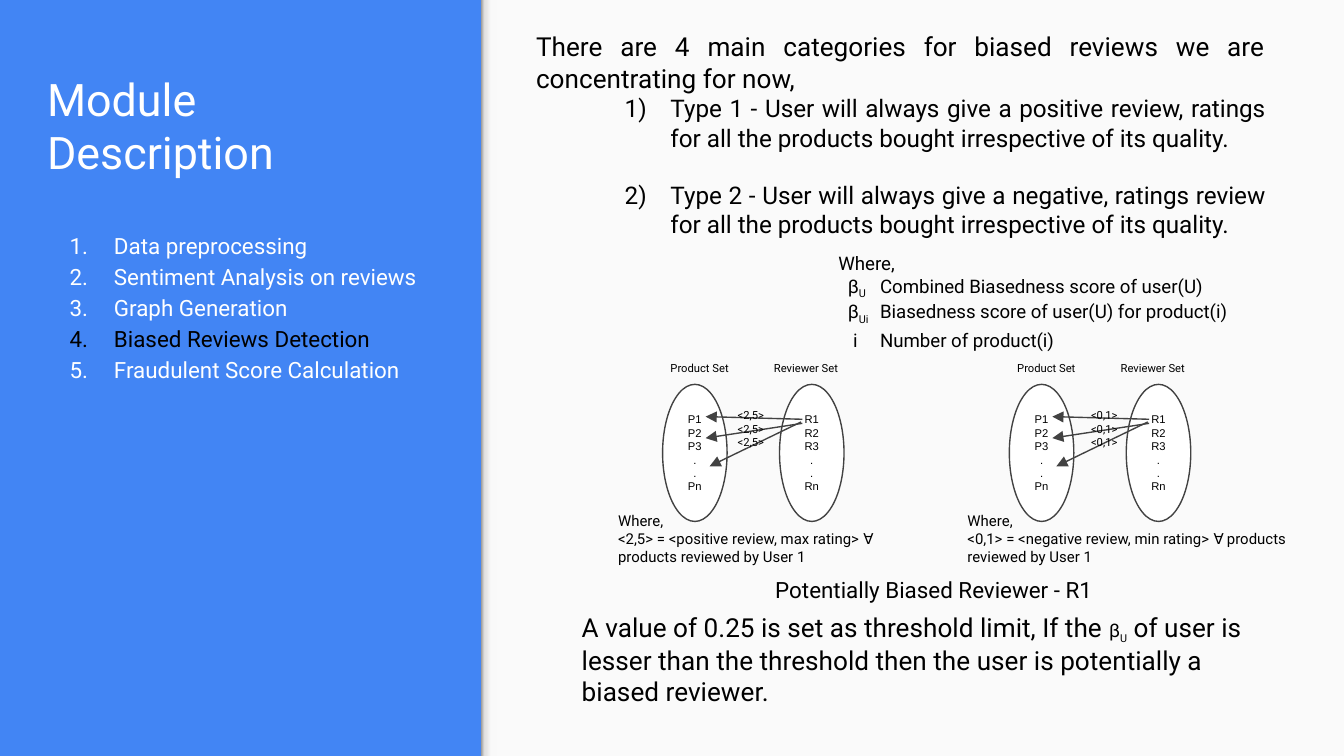
from lxml import etree
from pptx import Presentation
from pptx.dml.color import RGBColor
from pptx.enum.shapes import MSO_CONNECTOR, MSO_SHAPE
from pptx.enum.text import MSO_ANCHOR, MSO_AUTO_SIZE, PP_ALIGN
from pptx.oxml.ns import qn
from pptx.util import Inches, Pt

LEFT, CENTER, JUSTIFY = PP_ALIGN.LEFT, PP_ALIGN.CENTER, PP_ALIGN.JUSTIFY
TOP, MIDDLE, BOTTOM = MSO_ANCHOR.TOP, MSO_ANCHOR.MIDDLE, MSO_ANCHOR.BOTTOM
WIDTH = 10
HEIGHT = WIDTH * 9 / 16
COLORS = {"blue": "4285F4", "panel": "FAFAFA", "white": "FFFFFF",
          "black": "000000", "line": "424242"}
SHADOW_STOPS = [(0, "999999"), (20, "DEDEDE"), (64, "F9F9F9"), (100, "F9F9F9")]

# Content
TITLE = "Module Description"
MODULES = ["Data preprocessing", "Sentiment Analysis on reviews", "Graph Generation",
           "Biased Reviews Detection", "Fraudulent Score Calculation"]
CURRENT_MODULE = "Biased Reviews Detection"
INTRO = "There are 4 main categories for biased reviews we are concentrating for now,"
TYPES = [
    "Type 1 - User will always give a positive review, ratings for all the products "
    "bought irrespective of its quality.",
    "Type 2 - User will always give a negative, ratings review for all the products "
    "bought irrespective of its quality."]
SYMBOLS = [  # symbol, subscript, meaning, hanging indent, line spacing
    ("β", "U", "Combined Biasedness score of user(U)", 0.24, None),
    ("β", "Ui", "Biasedness score of user(U) for product(i)", 0.24, None),
    ("i", "", "Number of product(i)", 0.2, 1.15)]
SETS = [  # caption, letter, ellipse left, caption left
    ("Product Set", "P", 4.93, 4.89),
    ("Reviewer Set", "R", 5.8, 5.66)]
MEMBERS = ["{}1", "{}2", "{}3", ".", ".", "{}n"]
EDGES = [((5.97, 3.12), (5.25, 3.1)),
         ((5.97, 3.15), (5.25, 3.26)),
         ((5.96, 3.14), (5.28, 3.47))]
DIAGRAMS = [  # x offset, edge label, edge label left, note left, note width, note
    (0, "<2,5>", 5.33, 4.5, 2.48,
     "<2,5> = <positive review, max rating> ∀ products reviewed by User 1"),
    (2.58, "<0,1>", 7.96, 7.1, 2.7,
     "<0,1> = <negative review, min rating> ∀ products reviewed by User 1")]
REVIEWER = "Potentially Biased Reviewer - R1"
THRESHOLD = [("A value of 0.25 is set as threshold limit, If the ", 14, False),
             ("β", 10, False), ("U", 10, True),
             (" of user is lesser than the threshold then the user is potentially "
              "a biased reviewer.", 14, False)]


def rgb(name):
    return RGBColor.from_string(COLORS[name])


def line(runs, size=None, color="black", **layout):
    """Describe one paragraph; runs is a string or (text, size, subscript) tuples."""
    if isinstance(runs, str):
        runs = [(runs, size, False)]
    return {"runs": runs, "color": color, **layout}


def fill_text(shape, lines, font="Roboto", anchor=TOP, margin=0.1):
    frame = shape.text_frame
    frame.word_wrap = True
    frame.auto_size = MSO_AUTO_SIZE.NONE
    frame.vertical_anchor = anchor
    frame.margin_left = frame.margin_right = Inches(margin)
    frame.margin_top = frame.margin_bottom = Inches(0.1)
    for index, item in enumerate(lines):
        paragraph = frame.paragraphs[0] if index == 0 else frame.add_paragraph()
        paragraph.alignment = item.get("align", LEFT)
        paragraph.line_spacing = item.get("spacing")
        if "before" in item:
            paragraph.space_before = Pt(item["before"])
        properties = paragraph._p.get_or_add_pPr()
        properties.set("marL", str(Inches(item.get("margin", 0))))
        properties.set("indent", str(-Inches(item.get("hanging", 0))))
        if "number" in item:
            bullet_color = etree.SubElement(properties, qn("a:buClr"))
            etree.SubElement(bullet_color, qn("a:srgbClr"), val=COLORS[item["color"]])
            etree.SubElement(properties, qn("a:buFont"), typeface=font)
            etree.SubElement(properties, qn("a:buAutoNum"), type=item["number"])
        for text, size, subscript in item["runs"]:
            run = paragraph.add_run()
            run.text = text
            run.font.name = font
            run.font.size = Pt(size)
            run.font.color.rgb = rgb(item["color"])
            if subscript:
                run.font._element.set("baseline", "-25000")


def add_text(slide, box, lines):
    fill_text(slide.shapes.add_textbox(*map(Inches, box)), lines)


def add_shape(slide, kind, box, color):
    shape = slide.shapes.add_shape(kind, *map(Inches, box))
    shape.shadow.inherit = False
    shape.fill.solid()
    shape.fill.fore_color.rgb = rgb(color)
    shape.line.fill.background()
    return shape


def add_panel(slide):
    add_shape(slide, MSO_SHAPE.RECTANGLE, (3.58, 0, 6.42, HEIGHT), "panel")
    shadow = add_shape(slide, MSO_SHAPE.RECTANGLE, (3.58, 0, 0.12, HEIGHT), "panel")
    shadow.fill.gradient()
    shadow.fill.gradient_angle = 0
    stops = shadow._element.spPr.find(qn("a:gradFill")).find(qn("a:gsLst"))
    for stop in list(stops):
        stops.remove(stop)
    for position, color in SHADOW_STOPS:
        stop = etree.SubElement(stops, qn("a:gs"), pos=str(position * 1000))
        etree.SubElement(stop, qn("a:srgbClr"), val=color)


def add_arrow(slide, start, end):
    arrow = slide.shapes.add_connector(MSO_CONNECTOR.STRAIGHT, *map(Inches, start + end))
    arrow.line.color.rgb = rgb("line")
    arrow.line.width = Pt(0.75)
    etree.SubElement(arrow.line._get_or_add_ln(), qn("a:tailEnd"), type="triangle")
    etree.SubElement(arrow._element.spPr, qn("a:effectLst"))


def add_diagram(slide, offset, label, label_left, note_left, note_width, note):
    for caption, letter, left, caption_left in SETS:
        ellipse = add_shape(slide, MSO_SHAPE.OVAL, (left + offset, 2.86, 0.48, 1.02), "white")
        ellipse.line.color.rgb = rgb("line")
        ellipse.line.width = Pt(0.75)
        members = [line(member.format(letter), 6, align=CENTER) for member in MEMBERS]
        fill_text(ellipse, members, "Arial", MIDDLE, margin=0.05)
        add_text(slide, (caption_left + offset, 2.59, 0.71, 0.3), [line(caption, 6)])
    for (start_x, start_y), (end_x, end_y) in EDGES:
        add_arrow(slide, (start_x + offset, start_y), (end_x + offset, end_y))
    add_text(slide, (label_left, 2.94, 0.68, 0.5),
             [line(label, 6, margin=0.06) for _ in EDGES])
    add_text(slide, (note_left, 3.71, note_width, 0.74), [line("Where,", 8), line(note, 8)])


presentation = Presentation()
presentation.slide_width, presentation.slide_height = Inches(WIDTH), Inches(HEIGHT)
slide = presentation.slides.add_slide(presentation.slide_layouts[5])
slide.background.fill.solid()
slide.background.fill.fore_color.rgb = rgb("blue")
add_panel(slide)

# Sidebar: title and module list
title = slide.shapes.title
title.left, title.top, title.width, title.height = map(Inches, (0.25, 0.39, 3.07, 1.04))
fill_text(title, [line(TITLE, 24, "white")], anchor=BOTTOM)
title.text_frame.margin_right = Inches(0.2)
add_text(slide, (0.25, 1.6, 3.07, 3.46),
         [line(module, 12, "black" if module == CURRENT_MODULE else "white", margin=0.5,
               hanging=0.33, spacing=1.15, number="arabicPeriod") for module in MODULES])

# Review types
add_text(slide, (3.89, 0.13, 5.62, 1.77),
         [line(INTRO, 14, align=JUSTIFY)]
         + [line(text, 13, align=JUSTIFY, margin=1, hanging=0.34, number="arabicParenR",
                 before=15.25 * index) for index, text in enumerate(TYPES)])

# Symbol legend
legend = [line("Where,", 10, spacing=1.15)]
for symbol, subscript, meaning, hanging, spacing in SYMBOLS:
    runs = [(symbol, 10, False), (subscript, 10, True), ("\t" + meaning, 10, False)]
    legend.append(line([run for run in runs if run[0]], margin=0.31, hanging=hanging,
                       spacing=spacing))
add_text(slide, (6.14, 1.75, 3.58, 0.9), legend)

# Product and reviewer graphs
for diagram in DIAGRAMS:
    add_diagram(slide, *diagram)

# Conclusion
add_text(slide, (5.67, 4.19, 2.97, 0.4), [line(REVIEWER, 12)])
add_text(slide, (4.23, 4.45, 5.28, 0.91), [line(THRESHOLD)])

presentation.save("out.pptx")
